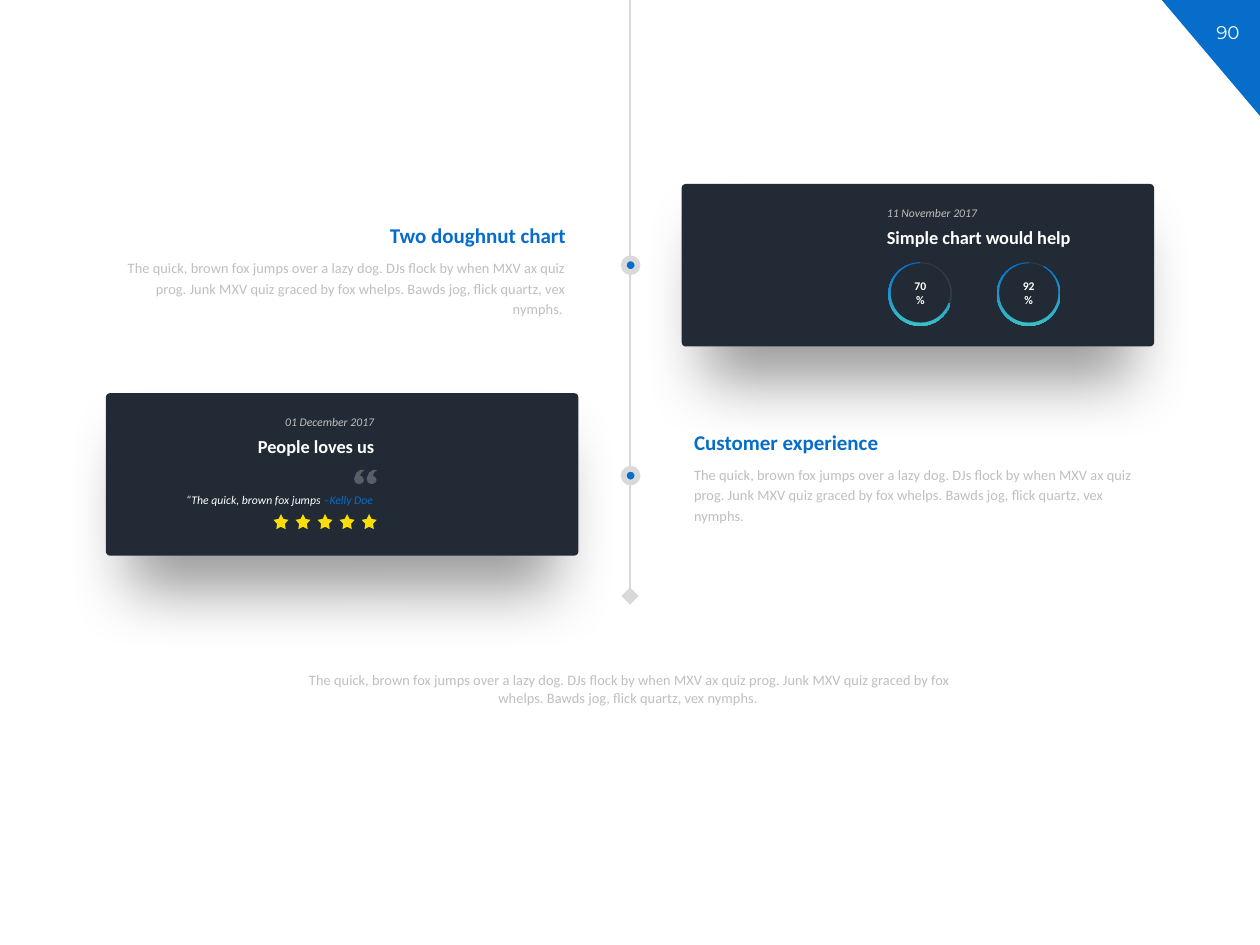
"""Builds a vertical timeline slide with two milestone cards and progress rings."""
from lxml import etree
from pptx import Presentation
from pptx.chart.data import CategoryChartData
from pptx.dml.color import RGBColor
from pptx.enum.chart import XL_CHART_TYPE
from pptx.enum.shapes import MSO_CONNECTOR, MSO_SHAPE
from pptx.enum.text import MSO_ANCHOR, PP_ALIGN
from pptx.oxml import parse_xml
from pptx.oxml.ns import nsdecls, qn
from pptx.util import Inches, Pt

PIE = XL_CHART_TYPE.PIE
STRAIGHT = MSO_CONNECTOR.STRAIGHT
RECTANGLE, TRIANGLE = MSO_SHAPE.ROUNDED_RECTANGLE, MSO_SHAPE.RIGHT_TRIANGLE
OVAL, STAR = MSO_SHAPE.OVAL, MSO_SHAPE.STAR_5_POINT
MIDDLE = MSO_ANCHOR.MIDDLE
LEFT, CENTER, RIGHT = PP_ALIGN.LEFT, PP_ALIGN.CENTER, PP_ALIGN.RIGHT

BLUE = RGBColor(0x06, 0x6D, 0xCA)
TEAL = RGBColor(0x3A, 0xBF, 0xC4)
NAVY = RGBColor(0x22, 0x2A, 0x35)
SILVER = RGBColor(0xBF, 0xBF, 0xBF)
PALE = RGBColor(0xD9, 0xD9, 0xD9)
YELLOW = RGBColor(0xFC, 0xDE, 0x04)
WHITE = RGBColor(0xFF, 0xFF, 0xFF)
BLACK = RGBColor(0, 0, 0)

BODY = ("The quick, brown fox jumps over a lazy dog. DJs flock by when MXV ax quiz prog. "
        "Junk MXV quiz graced by fox whelps. Bawds jog, flick quartz, vex nymphs. ")
SHADOW = (
    f'<a:effectLst {nsdecls("a")}><a:outerShdw blurRad="{Pt(37)}" dist="{Pt(29)}" '
    'dir="5400000" sx="90000" sy="90000" algn="t" rotWithShape="0">'
    '<a:srgbClr val="000000"><a:alpha val="40000"/></a:srgbClr>'
    '</a:outerShdw></a:effectLst>')
QUOTE_MARK = [(8, 0), (8, 1), (7, 1), (6, 2), (5, 4), (5, 5), (6, 5), (7, 6), (8, 8),
              (7, 10), (5, 11), (3, 11), (1, 10), (0, 7), (2, 2), (5, 0)]

deck = Presentation()
deck.slide_width, deck.slide_height = Inches(10), Inches(7.5)
page = deck.slides.add_slide(deck.slide_layouts[6])
shapes = page.shapes
translucent = []


def write(box, text, size=8.25, color=SILVER, bold=False, italic=False,
          align=LEFT, spacing=1.0, font="Calibri"):
    box.text_frame.word_wrap = True
    para = box.text_frame.paragraphs[0]
    para.alignment, para.line_spacing = align, spacing
    span = para.add_run()
    span.text = text
    span.font.name, span.font.size = font, Pt(size)
    span.font.bold, span.font.italic = bold, italic
    span.font.color.rgb = color
    return span


def add_solid(kind, left, top, width, height, color):
    shape = shapes.add_shape(kind, Inches(left), Inches(top), Inches(width), Inches(height))
    shape.shadow.inherit = False
    shape.fill.solid()
    shape.fill.fore_color.rgb = color
    shape.line.fill.background()
    return shape


corner = add_solid(TRIANGLE, 9.22, 0, 0.78, 0.92, BLUE)
corner.rotation = 180
number = shapes.add_textbox(Inches(9.49), Inches(0.12), Inches(0.51), Inches(0.28))
write(number, "90", size=10.5, color=WHITE, align=CENTER, font="Montserrat")

timeline = shapes.add_connector(STRAIGHT, Inches(5), 0, Inches(5), Inches(4.73))
timeline.line.color.rgb = PALE
timeline.line.width = Pt(1.25)
etree.SubElement(timeline.line._get_or_add_ln(), qn("a:tailEnd"),
                 type="diamond", w="lg", len="lg")
etree.SubElement(timeline._element.spPr, qn("a:effectLst"))

milestones = [
    (1.46, 5.41, 6.94, LEFT, "11 November 2017", "Simple chart would help",
     1.68, 0.84, RIGHT, "Two doughnut chart"),
    (3.12, 0.84, 0.96, RIGHT, "01 December 2017", "People loves us",
     3.32, 5.41, LEFT, "Customer experience"),
]
for (card_top, card_left, note_left, note_align, date, title,
     story_top, story_left, story_align, heading) in milestones:
    card = add_solid(RECTANGLE, card_left, card_top, 3.75, 1.29, NAVY)
    card.adjustments[0] = 0.026
    card._element.spPr.remove(card._element.spPr.find(qn("a:effectLst")))
    card._element.spPr.append(parse_xml(SHADOW))

    for text, left, top, width, height, style in [
        (BODY, story_left, story_top + 0.3, 3.75, 0.6, dict(align=story_align)),
        (heading, story_left, story_top, 3.75, 0.34,
         dict(size=12, color=BLUE, bold=True, align=story_align)),
        (date, note_left, card_top + 0.1, 2.11, 0.24,
         dict(size=6.75, italic=True, align=note_align)),
        (title, note_left, card_top + 0.25, 2.11, 0.31,
         dict(size=10.5, color=WHITE, bold=True, align=note_align)),
    ]:
        box = shapes.add_textbox(Inches(left), Inches(top), Inches(width), Inches(height))
        span = write(box, text, spacing=1.2, **style)
        if text == heading:
            span.font.fill.gradient()
            span.font.fill.gradient_angle = 0
            for stop, color in zip(span.font.fill.gradient_stops, (BLUE, TEAL)):
                stop.color.rgb = color

for top in (2.05, 3.72):
    marker = add_solid(OVAL, 4.95, top, 0.11, 0.11, BLUE)
    marker.line.color.rgb = PALE
    marker.line.width = Pt(3.25)

for left, percent in ((6.91, 70), (7.77, 92)):
    data = CategoryChartData()
    data.categories = ["1", "2"]
    data.add_series("Series 1", [100 - percent, percent])
    chart = shapes.add_chart(PIE, Inches(left), Inches(1.85),
                             Inches(0.78), Inches(0.96), data).chart
    chart.has_legend = chart.has_title = False
    chart.font.name, chart.font.size = "Calibri", Pt(10)
    chart.font.color.rgb = BLACK
    chart.plots[0].vary_by_categories = True
    rest, done = (chart.plots[0].series[0].points[index].format for index in range(2))
    rest.fill.solid()
    rest.fill.fore_color.rgb = WHITE
    done.fill.gradient()
    done.fill.gradient_angle = 270
    for stop, color in zip(done.fill.gradient_stops, (BLUE, TEAL)):
        stop.color.rgb = color
    for part in (rest, done):
        part.line.fill.background()
    translucent.append((chart._chartSpace, 8))

    plot_area = chart._chartSpace.chart.plotArea
    for old in plot_area.findall(qn("c:layout")):
        plot_area.remove(old)
    layout = etree.Element(qn("c:layout"))
    manual = etree.SubElement(layout, qn("c:manualLayout"))
    for tag, value in [("layoutTarget", "inner"), ("xMode", "edge"), ("yMode", "edge"),
                       ("x", 0.18), ("y", 0.24), ("w", 0.65), ("h", 0.53)]:
        etree.SubElement(manual, qn(f"c:{tag}"), val=str(value))
    plot_area.insert(0, layout)

    hole = add_solid(OVAL, left + 0.16, 2.09, 0.47, 0.47, NAVY)
    hole.text_frame.vertical_anchor = MIDDLE
    write(hole, f"{percent}%", size=6.75, color=WHITE, bold=True, align=CENTER)

review = shapes.add_textbox(Inches(1.27), Inches(3.86), Inches(1.79), Inches(0.21))
for text, color in (("“The quick, brown fox jumps ", WHITE), ("–Kelly Doe", BLUE)):
    write(review, text, size=6.75, color=color, italic=True, align=RIGHT)

for index in range(5):
    star = add_solid(STAR, 2.87 - index * 0.175, 4.08, 0.12, 0.12, YELLOW)
    star.adjustments[0] = 0.257

builder = None
for left in (281, 291):
    points = [(left + x, 373 + y) for x, y in QUOTE_MARK]
    if builder is None:
        builder = shapes.build_freeform(*points[0], scale=Inches(0.01))
    else:
        builder.move_to(*points[0])
    builder.add_line_segments(points[1:])
quote = builder.convert_to_shape()
quote.shadow.inherit = False
quote.fill.solid()
quote.fill.fore_color.rgb = WHITE
quote.line.fill.background()
translucent.append((quote._element, 25))

for element, opacity in translucent:
    color = next(element.iter(qn("a:srgbClr")))
    etree.SubElement(color, qn("a:alpha"), val=str(opacity * 1000))

footer = shapes.add_textbox(Inches(2.25), Inches(5.28), Inches(5.5), Inches(0.38))
write(footer, BODY, align=CENTER)

deck.save("out.pptx")
